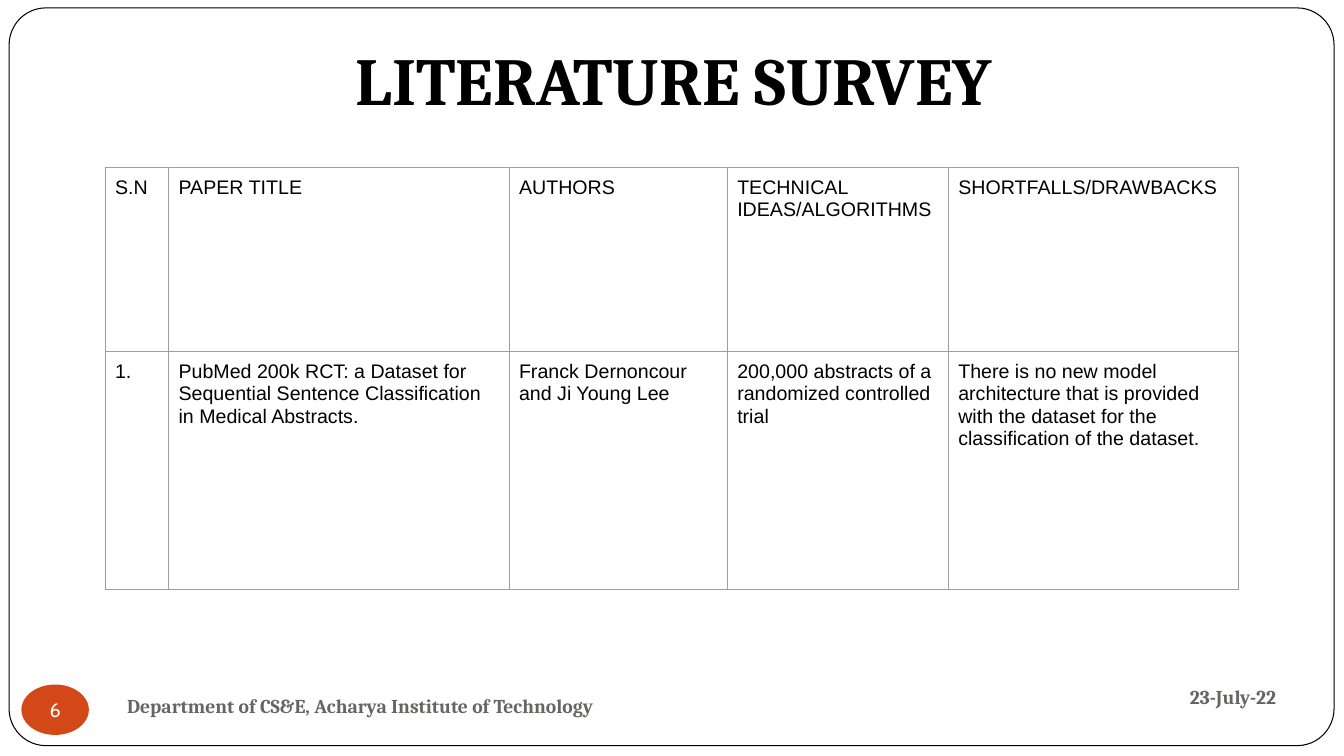
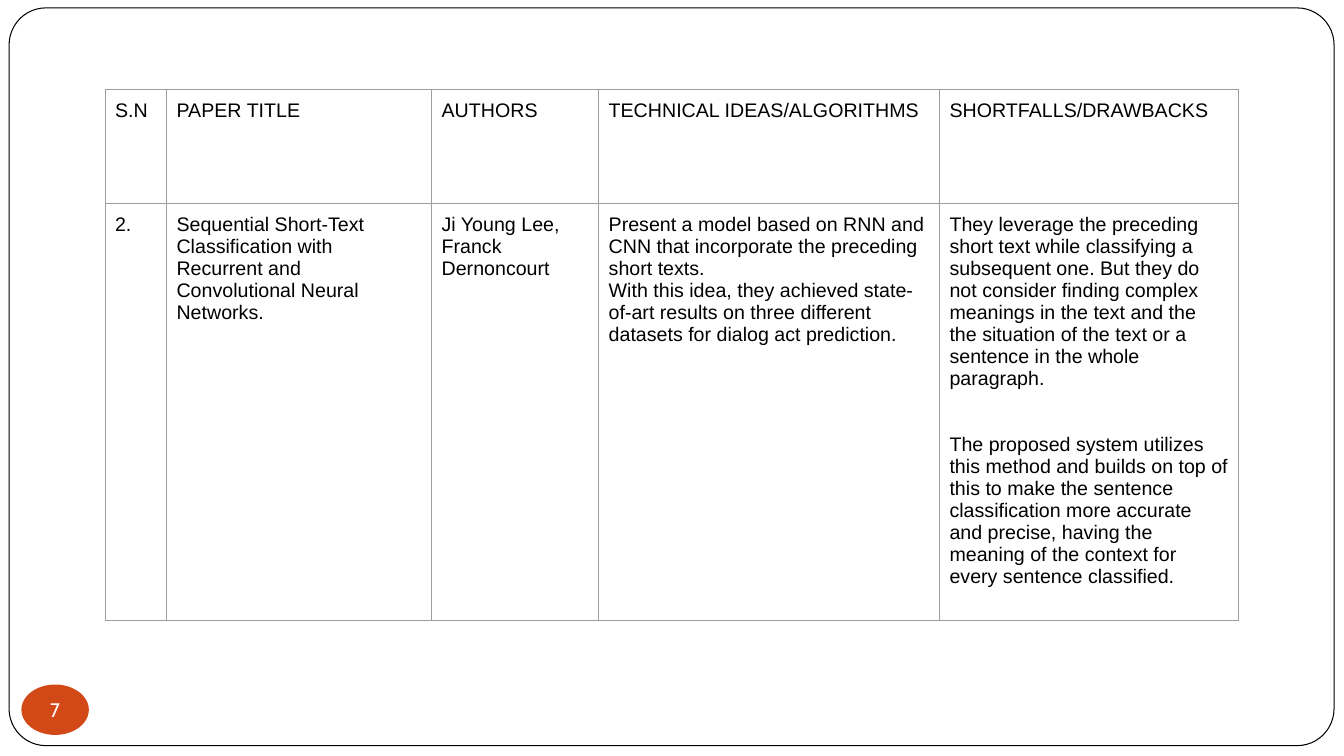
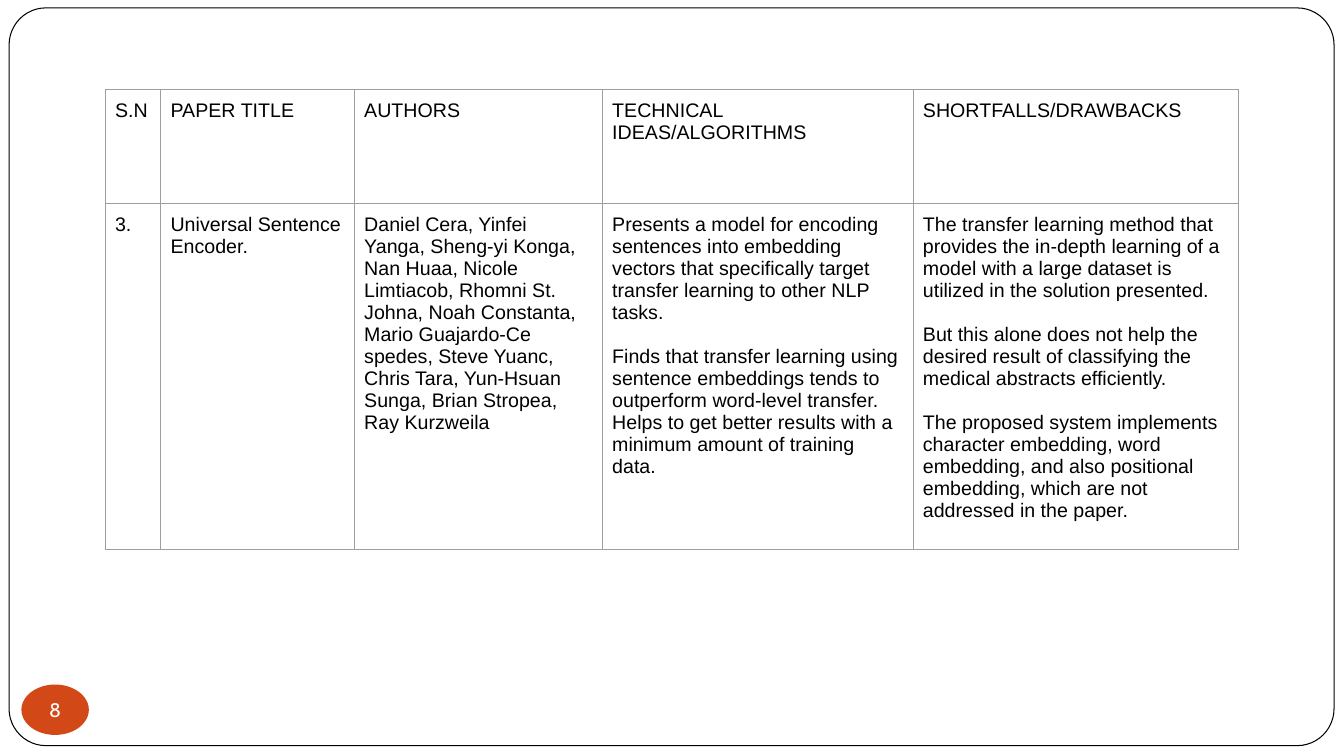
from lxml.etree import SubElement
from pptx import Presentation
from pptx.dml.color import RGBColor
from pptx.enum.shapes import MSO_SHAPE
from pptx.enum.text import MSO_ANCHOR, MSO_AUTO_SIZE, PP_ALIGN
from pptx.oxml.ns import qn
from pptx.util import Cm, Pt

COLORS = {
    "ink": "000000",
    "paper": "FFFFFF",
    "footer": "696464",
    "badge": "D34817",
    "grid": "9E9E9E",
}
TITLE_ONLY, BLANK = 5, 6
TABLE_LEFT = 2.65
HEADINGS = [
    "S.N",
    "PAPER TITLE",
    "AUTHORS",
    "TECHNICAL IDEAS/ALGORITHMS",
    "SHORTFALLS/DRAWBACKS",
]
SURVEYS = [
    {
        "number": 6,
        "title": "LITERATURE SURVEY",
        "footers": [
            ("23-July-22", (29.55, 16.89, 3.05, 1.32)),
            ("Department of CS&E, Acharya Institute of Technology",
             (2.47, 17.15, 13.23, 1.27)),
        ],
        "top": 4.21,
        "widths": [1.6, 8.58, 5.5, 5.57, 7.31],
        "heights": [4.64, 6],
        "gaps": [0, 0, 0, 0, 0],
        "entry": [
            ["1."],
            ["PubMed 200k RCT: a Dataset for Sequential Sentence "
             "Classification in Medical Abstracts."],
            ["Franck Dernoncour and Ji Young Lee"],
            ["200,000 abstracts of a randomized controlled trial"],
            ["There is no new model architecture that is provided with the "
             "dataset for the classification of the dataset."],
        ],
    },
    {
        "number": 7,
        "top": 2.26,
        "widths": [1.55, 6.68, 4.21, 8.59, 7.53],
        "heights": [2.87, 2.46],
        "gaps": [0, 0, 0, 0, 31.4],
        "entry": [
            ["2."],
            ["Sequential Short-Text Classification with Recurrent and "
             "Convolutional Neural Networks."],
            ["Ji Young Lee, Franck Dernoncourt"],
            ["Present a model based on RNN and CNN that incorporate the "
             "preceding short texts.",
             "With this idea, they achieved state-of-art results on three "
             "different datasets for dialog act prediction."],
            ["They leverage the preceding short text while classifying a "
             "subsequent one. But they do not consider finding complex "
             "meanings in the text and the the situation of the text or a "
             "sentence in the whole paragraph.",
             "The proposed system utilizes this method and builds on top of "
             "this to make the sentence classification more accurate and "
             "precise, having the meaning of the context for every sentence "
             "classified."],
        ],
    },
    {
        "number": 8,
        "top": 2.26,
        "widths": [1.4, 4.88, 6.25, 7.83, 8.2],
        "heights": [2.87, 2.46],
        "gaps": [0, 0, 0, 15.7, 15.7],
        "entry": [
            ["3."],
            ["Universal Sentence Encoder."],
            ["Daniel Cera, Yinfei Yanga, Sheng-yi Konga, Nan Huaa, Nicole "
             "Limtiacob, Rhomni St. Johna, Noah Constanta, Mario Guajardo-Ce "
             "spedes, Steve Yuanc, Chris Tara, Yun-Hsuan Sunga, Brian "
             "Stropea, Ray Kurzweila"],
            ["Presents a model for encoding sentences into embedding vectors "
             "that specifically target transfer learning to other NLP tasks.",
             "Finds that transfer learning using sentence embeddings tends "
             "to outperform word-level transfer. Helps to get better results "
             "with a minimum amount of training data."],
            ["The transfer learning method that provides the in-depth "
             "learning of a model with a large dataset is utilized in the "
             "solution presented.",
             "But this alone does not help the desired result of classifying "
             "the medical abstracts efficiently.",
             "The proposed system implements character embedding, word "
             "embedding, and also positional embedding, which are not "
             "addressed in the paper."],
        ],
    },
]


def color(name):
    """Return the named palette colour."""
    return RGBColor.from_string(COLORS[name])


def lengths(box):
    """Turn the four numbers of a box into lengths."""
    return [Cm(value) for value in box]


def format_text(frame, font, size, ink, bold=False, align=PP_ALIGN.LEFT):
    """Format every run and paragraph of a text frame."""
    for paragraph in frame.paragraphs:
        paragraph.alignment = align
        for span in paragraph.runs:
            span.font.name = font
            span.font.size = Pt(size)
            span.font.bold = bold
            span.font.color.rgb = color(ink)


def add_shape(page, kind, box, fill):
    """Add a filled shape without shadow."""
    shape = page.shapes.add_shape(kind, *lengths(box))
    shape.shadow.inherit = False
    shape.fill.solid()
    shape.fill.fore_color.rgb = color(fill)
    return shape


def add_page_frame(page, box):
    """Add the rounded frame behind everything else on the page."""
    frame = add_shape(page, MSO_SHAPE.ROUNDED_RECTANGLE, box, "paper")
    frame.adjustments[0] = 0.05
    frame.line.color.rgb = color("ink")
    frame.line.width = Pt(0.75)
    page.shapes._spTree.insert(2, frame._element)


def add_title(page, text, box):
    """Fill and place the title placeholder."""
    title = page.shapes.title
    title.left, title.top, title.width, title.height = lengths(box)
    frame = title.text_frame
    frame.text = text
    frame.auto_size = MSO_AUTO_SIZE.NONE
    frame.vertical_anchor = MSO_ANCHOR.BOTTOM
    frame.margin_bottom = Cm(0.25)
    format_text(frame, "Cambria", 48, "ink", True, PP_ALIGN.CENTER)


def add_footer(page, text, box):
    """Add one centred footer text."""
    frame = page.shapes.add_textbox(*lengths(box)).text_frame
    frame.word_wrap = True
    frame.vertical_anchor = MSO_ANCHOR.MIDDLE
    frame.text = text
    format_text(frame, "Cambria", 14, "footer", True, PP_ALIGN.CENTER)


def add_badge(page, number, box):
    """Add the oval with the page number."""
    badge = add_shape(page, MSO_SHAPE.OVAL, box, "badge")
    badge.line.fill.background()
    frame = badge.text_frame
    frame.margin_left = frame.margin_right = 0
    frame.margin_top = frame.margin_bottom = 0
    frame.vertical_anchor = MSO_ANCHOR.MIDDLE
    frame.text = str(number)
    format_text(frame, "Cabin", 14, "paper", align=PP_ALIGN.CENTER)


def set_borders(cell):
    """Draw a thin grey line on each side of a cell."""
    properties = cell._tc.get_or_add_tcPr()
    for side in ("a:lnL", "a:lnR", "a:lnT", "a:lnB"):
        line = SubElement(properties, qn(side), w=str(Pt(0.75)))
        fill = SubElement(line, qn("a:solidFill"))
        SubElement(fill, qn("a:srgbClr"), val=COLORS["grid"])


def fill_cell(cell, paragraphs, gap):
    """Write the paragraphs of a cell, separated by the gap in points."""
    set_borders(cell)
    cell.fill.background()
    cell.margin_left = cell.margin_right = Cm(0.25)
    cell.margin_top = cell.margin_bottom = Cm(0.25)
    frame = cell.text_frame
    frame.text = "\n".join(paragraphs)
    format_text(frame, "Arial", 14, "ink")
    for paragraph in frame.paragraphs[1:]:
        paragraph.space_before = Pt(gap)


def add_survey_table(page, survey):
    """Add the table with the headings and one surveyed paper."""
    widths, heights = survey["widths"], survey["heights"]
    box = (TABLE_LEFT, survey["top"], sum(widths), sum(heights))
    table = page.shapes.add_table(len(heights), len(widths), *lengths(box)).table
    table.first_row = table.horz_banding = False
    for column, width in zip(table.columns, widths):
        column.width = Cm(width)
    rows = [[[heading] for heading in HEADINGS], survey["entry"]]
    for row, height, texts in zip(table.rows, heights, rows):
        row.height = Cm(height)
        for cell, paragraphs, gap in zip(row.cells, texts, survey["gaps"]):
            fill_cell(cell, paragraphs, gap)


def add_survey_page(deck, survey):
    """Add one survey slide, with a title and footers where given."""
    layout = TITLE_ONLY if "title" in survey else BLANK
    page = deck.slides.add_slide(deck.slide_layouts[layout])
    add_page_frame(page, (0.23, 0.2, 33.39, 18.59))
    if "title" in survey:
        add_title(page, survey["title"], (0.54, 1.04, 32.9, 2.2))
    for text, box in survey.get("footers", []):
        add_footer(page, text, box)
    add_badge(page, survey["number"], (0.54, 17.25, 1.7, 1.27))
    add_survey_table(page, survey)


def main():
    """Build and save the deck."""
    deck = Presentation()
    deck.slide_width, deck.slide_height = Cm(33.87), Cm(19.05)
    for survey in SURVEYS:
        add_survey_page(deck, survey)
    deck.save("out.pptx")


if __name__ == "__main__":
    main()
